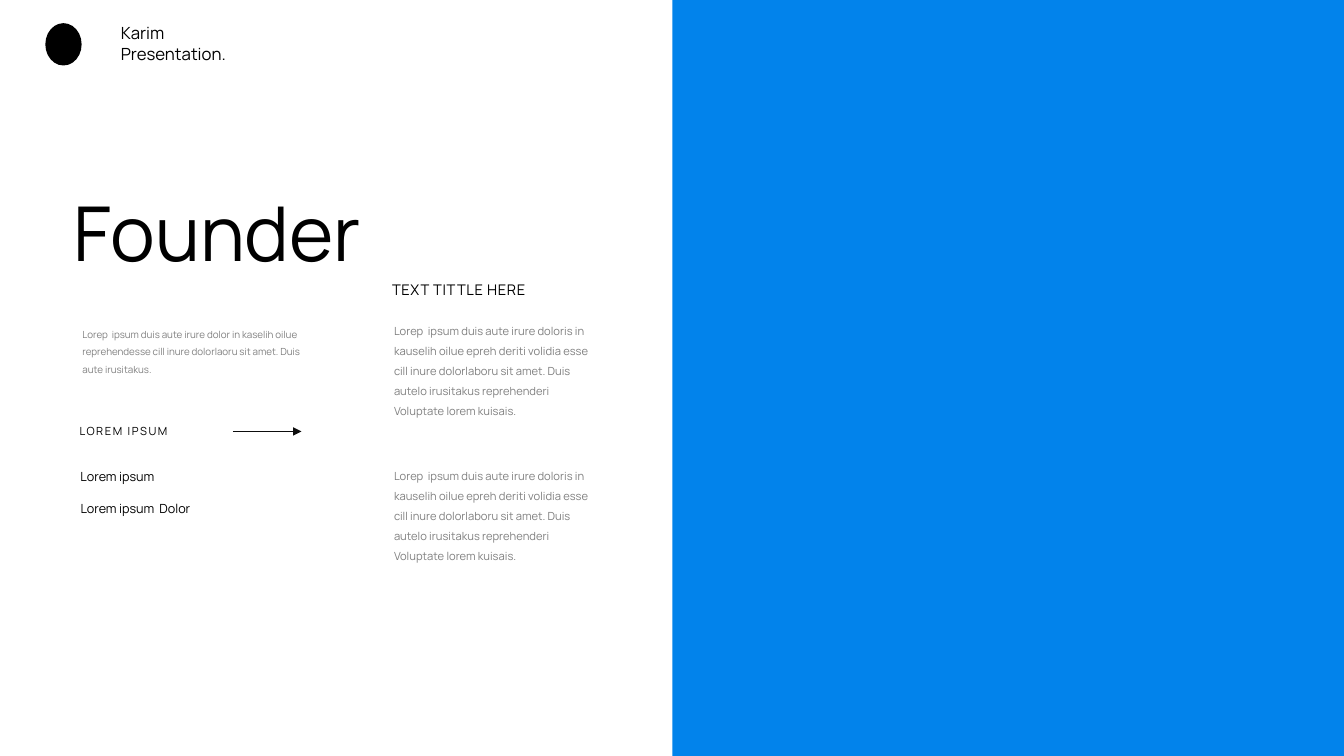
from lxml import etree
from pptx import Presentation
from pptx.dml.color import RGBColor
from pptx.enum.shapes import MSO_CONNECTOR, MSO_SHAPE
from pptx.enum.text import MSO_ANCHOR, MSO_AUTO_SIZE, PP_ALIGN
from pptx.oxml.ns import qn
from pptx.util import Inches, Pt

COLORS = {"black": "000000", "arrow": "0D0D0D", "grey": "808080", "blue": "0283EB"}
FONT = "Manrope"
INTRO = ("Lorep  ipsum duis aute irure dolor in kaselih oilue reprehendesse cill "
         "inure dolorlaoru sit amet. Duis aute irusitakus.")
STORY = ("Lorep  ipsum duis aute irure doloris in kauselih oilue epreh deriti volidia "
         "esse cill inure dolorlaboru sit amet. Duis autelo irusitakus reprehenderi "
         "Voluptate lorem kuisais.")


def rgb(name):
    return RGBColor.from_string(COLORS[name])


def place(sp, x, y, w, h):
    sp.left, sp.top, sp.width, sp.height = Inches(x), Inches(y), Inches(w), Inches(h)


def write(sp, lines, size, color="black", leading=None, tracking=0, wrap=True):
    """Fill a text shape with one paragraph per line; tracking is in points."""
    tf = sp.text_frame
    tf.word_wrap = wrap
    tf.auto_size = MSO_AUTO_SIZE.SHAPE_TO_FIT_TEXT
    tf.vertical_anchor = MSO_ANCHOR.TOP
    for i, line in enumerate(lines):
        p = tf.add_paragraph() if i else tf.paragraphs[0]
        p.alignment = PP_ALIGN.LEFT
        if leading:
            p.line_spacing = leading
        r = p.add_run()
        r.text = line
        r.font.name, r.font.size = FONT, Pt(size)
        r.font.color.rgb = rgb(color)
        if tracking:
            r._r.get_or_add_rPr().set("spc", str(round(tracking * 100)))


def add_text(s, x, y, w, h, lines, size, **style):
    sp = s.shapes.add_textbox(Inches(x), Inches(y), Inches(w), Inches(h))
    write(sp, lines, size, **style)


def add_solid(s, kind, x, y, w, h, color):
    sp = s.shapes.add_shape(kind, Inches(x), Inches(y), Inches(w), Inches(h))
    sp.shadow.inherit = False
    sp.fill.solid()
    sp.fill.fore_color.rgb = rgb(color)
    sp.line.fill.background()


def add_arrow(s, x, y, length):
    line = s.shapes.add_connector(MSO_CONNECTOR.STRAIGHT, Inches(x), Inches(y),
                                  Inches(x + length), Inches(y))
    line.line.color.rgb = rgb("arrow")
    line.line.width = Pt(0.5)
    etree.SubElement(line.line._get_or_add_ln(), qn("a:tailEnd"), type="triangle")
    etree.SubElement(line._element.spPr, qn("a:effectLst"))


def add_header(s, x, y):
    add_solid(s, MSO_SHAPE.OVAL, x, y + 0.05, 0.36, 0.42, "black")
    add_text(s, x + 0.65, y, 1.31, 0.5, ["Karim", "Presentation."], 12)


def add_founder(s, x, y):
    title = s.shapes.title
    place(title, x, y, 3.39, 1.01)
    write(title, ["Founder"], 54, wrap=False)
    add_text(s, x + 0.09, y + 1.36, 2.5, 0.61, [INTRO], 7, color="grey", leading=1.5)
    add_text(s, x + 0.06, y + 2.37, 1.08, 0.24, ["LOREM IPSUM"], 8,
             tracking=1.1, wrap=False)
    add_arrow(s, x + 1.68, y + 2.49, 0.68)
    for dy, w, name in ((2.81, 1.03, "Lorem ipsum"), (3.13, 1.42, "Lorem ipsum  Dolor")):
        add_text(s, x + 0.07, y + dy, w, 0.25, [name], 9)


def add_story(s, x, y):
    add_text(s, x, y, 1.59, 0.29, ["TEXT TITTLE HERE"], 10.5, tracking=0.5)
    for i in range(2):
        add_text(s, x + 0.02, y + 0.36 + 1.44 * i, 2.16, 1.09, [STORY], 8,
                 color="grey", leading=1.5)


def build_founder_slide(prs):
    s = prs.slides.add_slide(prs.slide_layouts[5])
    add_solid(s, MSO_SHAPE.RECTANGLE, 6.67, 0, 6.66, 7.5, "blue")
    add_header(s, 0.45, 0.18)
    add_founder(s, 0.63, 1.79)
    add_story(s, 3.79, 2.74)


def main():
    prs = Presentation()
    prs.slide_width, prs.slide_height = Inches(13.33), Inches(7.5)
    build_founder_slide(prs)
    prs.save("out.pptx")


if __name__ == "__main__":
    main()
